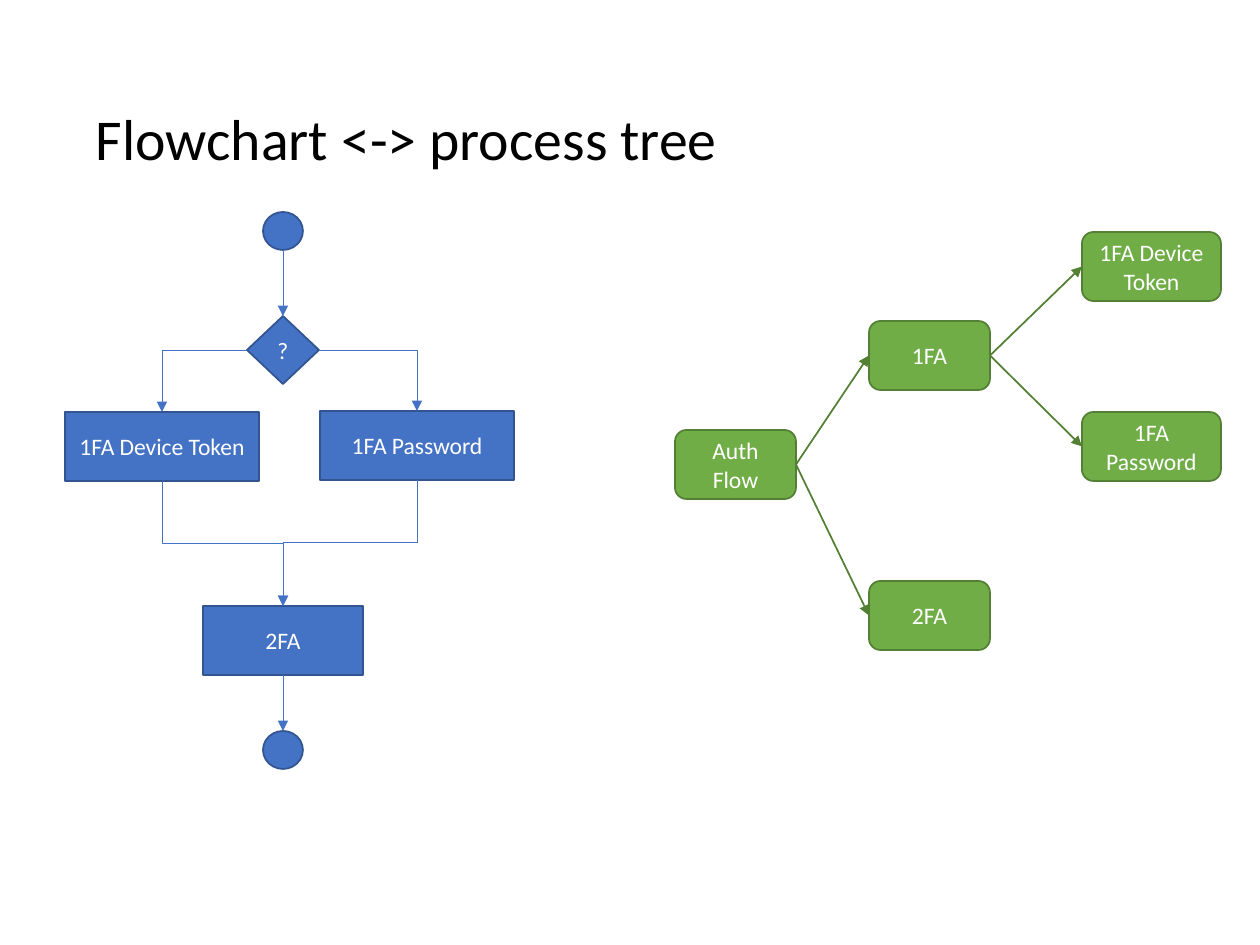
import pptx
import pptx.util
import pptx.dml.color
import pptx.enum.shapes
import pptx.enum.text
import pptx.oxml
import pptx.oxml.ns
from dataclasses import dataclass

SHAPE = pptx.enum.shapes.MSO_SHAPE
LINK = pptx.enum.shapes.MSO_CONNECTOR
ALIGN = pptx.enum.text.PP_ALIGN
TOP, LEFT, BOTTOM, RIGHT = range(4)


@dataclass(frozen=True)
class Theme:
    font: str = "Calibri"
    title_size: float = 33
    label_size: float = 13.5
    ink: str = "000000"
    label: str = "FFFFFF"
    flow_fill: str = "4472C4"
    flow_edge: str = "325491"
    tree_fill: str = "70AD47"
    tree_edge: str = "538035"
    outline: float = 1
    thin: float = 0.5


THEME = Theme()


def px(n):
    return round(n * 914400 / 126)


def rgb(value):
    return pptx.dml.color.RGBColor.from_string(value)


def write(s, text, size=THEME.label_size, color=THEME.label,
          align=ALIGN.CENTER, inset=12, spacing=None):
    tf = s.text_frame
    tf.word_wrap = True
    tf.vertical_anchor = pptx.enum.text.MSO_ANCHOR.MIDDLE
    tf.margin_left = tf.margin_right = px(inset)
    tf.margin_top = tf.margin_bottom = px(5)
    p = tf.paragraphs[0]
    p.alignment = align
    if spacing:
        p.line_spacing = spacing
    r = p.add_run()
    r.text = text
    r.font.name = THEME.font
    r.font.size = pptx.util.Pt(size)
    r.font.color.rgb = rgb(color)


def add_node(s, kind, box, fill, edge, text=""):
    sp = s.shapes.add_shape(kind, *map(px, box))
    sp.shadow.inherit = False
    sp.fill.solid()
    sp.fill.fore_color.rgb = rgb(fill)
    sp.line.color.rgb = rgb(edge)
    sp.line.width = pptx.util.Pt(THEME.outline)
    if text:
        write(sp, text)
    return sp


def flow_node(s, kind, box, text=""):
    return add_node(s, kind, box, THEME.flow_fill, THEME.flow_edge, text)


def tree_node(s, box, text):
    return add_node(s, SHAPE.ROUNDED_RECTANGLE, box,
                    THEME.tree_fill, THEME.tree_edge, text)


def side_point(sp, side):
    dx, dy = ((1, 0), (0, 1), (1, 2), (2, 1))[side]
    return sp.left + sp.width * dx // 2, sp.top + sp.height * dy // 2


def connect(s, a, a_side, b, b_side, color, width, kind=LINK.STRAIGHT):
    c = s.shapes.add_connector(kind, *side_point(a, a_side), *side_point(b, b_side))
    # An ellipse numbers its connection sites differently below the top
    if a.auto_shape_type != SHAPE.OVAL:
        c.begin_connect(a, a_side)
    c.end_connect(b, b_side)
    c.line.color.rgb = rgb(color)
    c.line.width = pptx.util.Pt(width)
    qn = pptx.oxml.ns.qn
    line = c.line._get_or_add_ln()
    line.append(pptx.oxml.parse_xml(
        f'<a:tailEnd {pptx.oxml.ns.nsdecls("a")} type="triangle"/>'))
    c.element.spPr.append(pptx.oxml.parse_xml(
        f'<a:effectLst {pptx.oxml.ns.nsdecls("a")}/>'))
    if kind == LINK.ELBOW:
        if a_side == BOTTOM:
            turn_downward(c)
        else:
            c.element.spPr.find(qn("a:prstGeom")).set("prst", "bentConnector2")
    return c


def turn_downward(c):
    """Rotate a three-part elbow so that it leaves and arrives vertically."""
    leftward = c.begin_x > c.end_x
    mid_x, mid_y = c.left + c.width // 2, c.top + c.height // 2
    c.width, c.height = c.height, c.width
    c.left, c.top = mid_x - c.width // 2, mid_y - c.height // 2
    xfrm = c.element.spPr.find(pptx.oxml.ns.qn("a:xfrm"))
    xfrm.set("rot", "5400000" if leftward else "16200000")
    xfrm.set("flipH", "0" if leftward else "1")


def add_title(s, text):
    sp = s.shapes.add_textbox(*map(px, (87, 50, 1086, 183)))
    write(sp, text, size=THEME.title_size, color=THEME.ink,
          align=ALIGN.LEFT, inset=9, spacing=0.9)


def add_flowchart(s):
    start, end = (flow_node(s, SHAPE.OVAL, (263, y, 40, 38)) for y in (212, 731))
    choice = flow_node(s, SHAPE.DIAMOND, (247, 316, 72, 68), "?")
    token = flow_node(s, SHAPE.RECTANGLE, (65, 412, 194, 69), "1FA Device Token")
    password = flow_node(s, SHAPE.RECTANGLE, (320, 411, 194, 69), "1FA Password")
    second = flow_node(s, SHAPE.RECTANGLE, (203, 606, 160, 69), "2FA")

    for a, a_side, b, kind in (
            (start, BOTTOM, choice, LINK.STRAIGHT),
            (choice, RIGHT, password, LINK.ELBOW),
            (choice, LEFT, token, LINK.ELBOW),
            (password, BOTTOM, second, LINK.ELBOW),
            (token, BOTTOM, second, LINK.ELBOW),
            (second, BOTTOM, end, LINK.STRAIGHT)):
        connect(s, a, a_side, b, TOP, THEME.flow_fill, THEME.thin, kind)


def add_process_tree(s):
    root = tree_node(s, (675, 430, 121, 69), "Auth Flow")
    first = tree_node(s, (869, 321, 121, 69), "1FA")
    second = tree_node(s, (869, 581, 121, 69), "2FA")
    token = tree_node(s, (1082, 232, 139, 69), "1FA Device Token")
    password = tree_node(s, (1082, 412, 139, 69), "1FA Password")

    for parent, child in ((root, first), (root, second),
                          (first, token), (first, password)):
        connect(s, parent, RIGHT, child, LEFT, THEME.tree_edge, THEME.outline)


def main():
    prs = pptx.Presentation()
    prs.slide_width, prs.slide_height = px(1260), px(945)
    s = prs.slides.add_slide(prs.slide_layouts[6])
    add_title(s, "Flowchart <-> process tree")
    add_flowchart(s)
    add_process_tree(s)
    prs.save("out.pptx")


if __name__ == "__main__":
    main()
